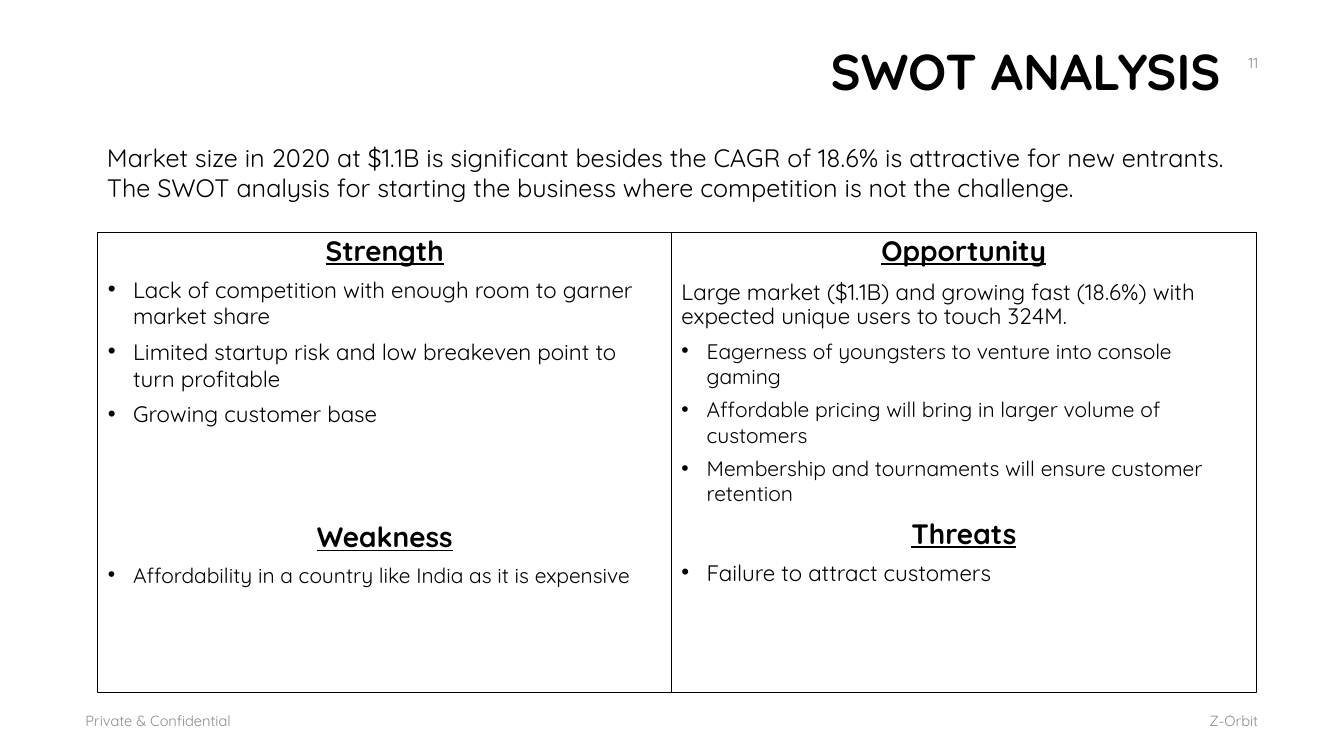
from pptx import Presentation
from pptx.dml.color import RGBColor
from pptx.enum.shapes import MSO_SHAPE as Shape
from pptx.enum.text import MSO_ANCHOR as Anchor, PP_ALIGN as Align
from pptx.oxml.ns import qn
from pptx.util import Pt
from lxml.etree import SubElement

FONT = "Quicksand"
BLACK, GREY = "000000", "8C8C8C"

TITLE = "SWOT ANALYSIS"
INTRO = ("Market size in 2020 at $1.1B is significant besides the CAGR of 18.6% "
         "is attractive for new entrants. The SWOT analysis for starting the "
         "business where competition is not the challenge.")

# text, left, top, width, alignment
MARGINALIA = [
    ("Z-Orbit", 676.8, 500.4, 229, Align.RIGHT),
    ("Private & Confidential", 54, 500.4, 612, Align.LEFT),
    ("11", 689.8, 30.2, 216, Align.RIGHT),
]

# style, text, size, space before
STRENGTH_WEAKNESS = [
    ("heading", "Strength", 20, 0),
    ("bullet", "Lack of competition with enough room to garner market share", 16, 6),
    ("bullet", "Limited startup risk and low breakeven point to turn profitable", 16, 6),
    ("bullet", "Growing customer base", 16, 6),
    ("heading", "Weakness", 20, 69),
    ("bullet", "Affordability in a country like India as it is expensive", 15, 6),
]
OPPORTUNITY_THREATS = [
    ("heading", "Opportunity", 20, 0),
    ("plain", "Large market ($1.1B) and growing fast (18.6%) with expected "
              "unique users to touch 324M.", 16, 10),
    ("bullet", "Eagerness of youngsters to venture into console gaming", 15, 6),
    ("bullet", "Affordable pricing will bring in larger volume of customers", 15, 6),
    ("bullet", "Membership and tournaments will ensure customer retention", 15, 6),
    ("heading", "Threats", 20, 10),
    ("bullet", "Failure to attract customers", 16, 6),
]
PANELS = [(STRENGTH_WEAKNESS, 409.7), (OPPORTUNITY_THREATS, 417.6)]
PANELS_LEFT, PANELS_TOP, PANELS_HEIGHT = 70, 165.8, 329


def rgb(hex_color):
    return RGBColor.from_string(hex_color)


def add_run(paragraph, text, size, color=BLACK, bold=False, underline=False):
    run = paragraph.add_run()
    run.text = text
    font = run.font
    font.name, font.size, font.bold, font.underline = FONT, Pt(size), bold, underline
    font.color.rgb = rgb(color)


def add_label(text, left, top, width, height, size, color, align, anchor):
    frame = slide.shapes.add_textbox(Pt(left), Pt(top), Pt(width), Pt(height)).text_frame
    frame.word_wrap = True
    frame.vertical_anchor = anchor
    frame.paragraphs[0].alignment = align
    add_run(frame.paragraphs[0], text, size, color)


def add_bullet(paragraph):
    props = paragraph._p.get_or_add_pPr()
    props.set("marL", str(Pt(18)))
    props.set("indent", str(Pt(-18)))
    SubElement(props, qn("a:buFont"), typeface="Arial")
    SubElement(props, qn("a:buChar"), char="•")


def add_panel(entries, left, width):
    panel = slide.shapes.add_shape(Shape.RECTANGLE, Pt(left), Pt(PANELS_TOP),
                                   Pt(width), Pt(PANELS_HEIGHT))
    panel.shadow.inherit = False
    panel.fill.background()
    panel.line.color.rgb = rgb(BLACK)
    panel.line.width = Pt(0.75)
    frame = panel.text_frame
    frame.word_wrap = True
    frame.vertical_anchor = Anchor.TOP
    for index, (style, text, size, space) in enumerate(entries):
        paragraph = frame.add_paragraph() if index else frame.paragraphs[0]
        heading = style == "heading"
        paragraph.alignment = Align.CENTER if heading else Align.LEFT
        paragraph.space_before = Pt(space)
        if style == "bullet":
            add_bullet(paragraph)
        else:
            paragraph.line_spacing = 0.9
        add_run(paragraph, text, size, bold=heading, underline=heading)


deck = Presentation()
deck.slide_width, deck.slide_height = Pt(960), Pt(540)
slide = deck.slides.add_slide(deck.slide_layouts[5])

title = slide.shapes.title
title.left, title.top, title.width, title.height = Pt(51), Pt(28.8), Pt(828), Pt(49)
title.text_frame.vertical_anchor = Anchor.MIDDLE
headline = title.text_frame.paragraphs[0]
headline.alignment = Align.RIGHT
headline.line_spacing = 0.9
add_run(headline, TITLE, 36, bold=True)

add_label(INTRO, 69.3, 98, 828, 65, 18, BLACK, Align.LEFT, Anchor.TOP)
for text, left, top, width, align in MARGINALIA:
    add_label(text, left, top, width, 28.8, 10.5, GREY, align, Anchor.MIDDLE)

left = PANELS_LEFT
for entries, width in PANELS:
    add_panel(entries, left, width)
    left += width

deck.save("out.pptx")
